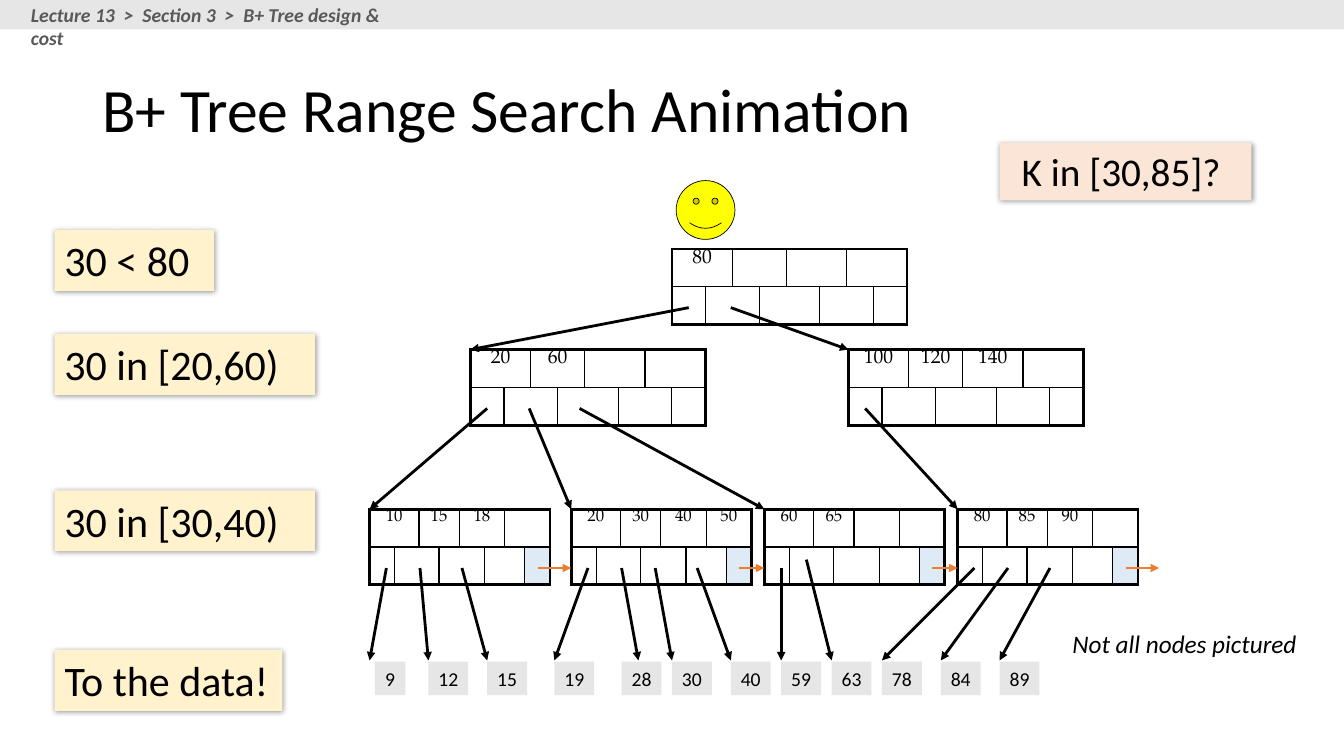
from pptx import Presentation
from pptx.dml.color import RGBColor
from pptx.enum.shapes import MSO_CONNECTOR, MSO_SHAPE
from pptx.enum.text import MSO_ANCHOR as Anchor, PP_ALIGN as Align
from pptx.oxml import parse_xml
from pptx.oxml.ns import nsdecls
from pptx.util import Pt

PX = 9525  # EMU in one px
WIDTH, HEIGHT = 1280, 720

BLACK = RGBColor(0x00, 0x00, 0x00)
GREY = RGBColor(0xE7, 0xE6, 0xE6)
DARK_GREY = RGBColor(0x59, 0x59, 0x59)
YELLOW = RGBColor(0xFF, 0xFF, 0x00)
CREAM = RGBColor(0xFF, 0xF2, 0xCC)
PEACH = RGBColor(0xFB, 0xE5, 0xD6)
PALE_BLUE = RGBColor(0xDE, 0xEB, 0xF7)
ORANGE = RGBColor(0xED, 0x7D, 0x31)

BODY_FONT, KEY_FONT = "Calibri", "TeX Gyre Pagella"
THICK, THIN = Pt(2.25), Pt(1)

# Tree geometry
NODE_WIDTH, LEAF_WIDTH, ROW_HEIGHT = 224, 168, 36
COLUMN_UNITS = (5, 4, 4, 4, 5, 4, 4, 5)
KEY_SPANS = ((0, 1), (2, 3), (4, 5), (6, 7))
POINTER_SPANS = ((0, 0), (1, 2), (3, 4), (5, 6), (7, 7))
POINTER_DROP = 56  # from the top of a node to its pointers
LEAF_TOP, DATA_TOP = 485, 630

# left, top, keys, (pointer offset, child left, child top)
INNER_NODES = (
    (640, 237, ("80",), ((16, 448, 333), (56, 808, 333))),
    (448, 333, ("20", "60"),
     ((16, 352, LEAF_TOP), (56, 544, LEAF_TOP), (104, 728, LEAF_TOP))),
    (808, 333, ("100", "120", "140"), ((16, 912, LEAF_TOP),)),
)
# left, keys, (pointer offset, pointer drop, arrow end), end of the next-leaf arrow
LEAVES = (
    (352, ("10", "15", "18"), ((16, 56, 352), (48, 56, 408), (88, 56, 464)), 544),
    (544, ("20", "30", "40", "50"),
     ((16, 56, 528), (48, 56, 608), (80, 56, 640), (120, 56, 696)), 728),
    (728, ("60", "65"), ((16, 56, 744), (40, 48, 792)), 912),
    (912, ("80", "85", "90"), ((16, 56, 840), (48, 56, 896), (88, 56, 952)), 1104),
)
# left, width, value
DATA_ITEMS = ((357, 29, "9"),) + tuple((left, 38, value) for left, value in (
    (408, "12"), (464, "15"), (528, "19"), (592, "28"), (640, "30"), (696, "40"),
    (744, "59"), (792, "63"), (840, "78"), (896, "84"), (952, "89")))
# left, top, width, height, text, size, fill, alignment
CALLOUTS = (
    (952, 136, 240, 55, "K in [30,85]? ", 28, PEACH, Align.CENTER),
    (52, 219, 152, 58, "30 < 80", 30, CREAM, Align.LEFT),
    (52, 318, 248, 58, "30 in [20,60)", 30, CREAM, Align.LEFT),
    (52, 467, 248, 58, "30 in [30,40)", 30, CREAM, Align.LEFT),
    (52, 619, 217, 58, "To the data!", 30, CREAM, Align.LEFT),
)


def to_emu(*lengths):
    return [length * PX for length in lengths]


def write(text_frame, text, size, font=BODY_FONT, color=BLACK, align=Align.LEFT,
          anchor=Anchor.TOP, wrap=True, bold=False, italic=False):
    text_frame.text = text
    text_frame.word_wrap = wrap
    text_frame.vertical_anchor = anchor
    paragraph = text_frame.paragraphs[0]
    paragraph.alignment = align
    for run in paragraph.runs:
        run.font.name, run.font.size = font, Pt(size)
        run.font.bold, run.font.italic = bold, italic
        run.font.color.rgb = color
    return paragraph


def add_label(slide, box, text, size, **style):
    label = slide.shapes.add_textbox(*to_emu(*box))
    return write(label.text_frame, text, size, **style)


def add_block(slide, box, fill, kind=MSO_SHAPE.RECTANGLE):
    shape = slide.shapes.add_shape(kind, *to_emu(*box))
    shape.shadow.inherit = False
    shape.fill.solid()
    shape.fill.fore_color.rgb = fill
    shape.line.fill.background()
    return shape


def add_arrow(slide, start, end, color=BLACK):
    arrow = slide.shapes.add_connector(MSO_CONNECTOR.STRAIGHT, *to_emu(*start, *end))
    arrow.line.color.rgb = color
    arrow.line.width = Pt(2)
    arrow.line._get_or_add_ln().append(
        parse_xml(f'<a:tailEnd {nsdecls("a")} type="triangle"/>'))
    arrow._element.spPr.append(parse_xml(f'<a:effectLst {nsdecls("a")}/>'))


def set_borders(cell, left, right, top, bottom):
    properties = cell._tc.get_or_add_tcPr()
    for index, (side, width) in enumerate(
            (("L", left), ("R", right), ("T", top), ("B", bottom))):
        properties.insert(index, parse_xml(
            f'<a:ln{side} {nsdecls("a")} w="{int(width)}"><a:solidFill>'
            f'<a:srgbClr val="{BLACK}"/></a:solidFill></a:ln{side}>'))


def add_node(slide, left, top, width, keys, key_size, next_fill=None):
    """Draw a tree node: keys in the upper row, pointers in the lower one."""
    frame = slide.shapes.add_table(
        2, len(COLUMN_UNITS), *to_emu(left, top, width, 2 * ROW_HEIGHT))
    table = frame.table
    table.first_row = table.horz_banding = False
    for column, units in zip(table.columns, COLUMN_UNITS):
        column.width = width * PX * units // sum(COLUMN_UNITS)
    for row in table.rows:
        row.height = ROW_HEIGHT * PX
    for cell in table.iter_cells():
        cell.margin_top = cell.margin_bottom = 0
        cell.fill.background()
    last = len(COLUMN_UNITS) - 1
    for row, spans in enumerate((KEY_SPANS, POINTER_SPANS)):
        for first, final in spans:
            cell = table.cell(row, first)
            if final > first:
                cell.merge(table.cell(row, final))
            set_borders(cell, THICK if first == 0 else THIN,
                        THICK if final == last else THIN,
                        THICK if row == 0 else THIN, THICK if row == 1 else THIN)
    for key, (first, _) in zip(keys, KEY_SPANS):
        paragraph = write(table.cell(0, first).text_frame, key, key_size,
                          font=KEY_FONT, align=Align.CENTER)
        paragraph.space_before = Pt(key_size * 0.2)
    if next_fill is not None:
        next_cell = table.cell(1, last)
        next_cell.fill.solid()
        next_cell.fill.fore_color.rgb = next_fill


def add_tree(slide):
    # Nodes
    for left, top, keys, _ in INNER_NODES:
        add_node(slide, left, top, NODE_WIDTH, keys, 14)
    for left, keys, _, _ in LEAVES:
        add_node(slide, left, LEAF_TOP, LEAF_WIDTH, keys, 12, PALE_BLUE)
    # Pointers between nodes
    for left, top, _, pointers in INNER_NODES:
        for offset, child_left, child_top in pointers:
            add_arrow(slide, (left + offset, top + POINTER_DROP), (child_left, child_top))
    # Data items
    for left, width, value in DATA_ITEMS:
        item = add_block(slide, (left, DATA_TOP, width, 32), GREY)
        write(item.text_frame, value, 14, align=Align.CENTER,
              anchor=Anchor.MIDDLE, wrap=False)
    # Pointers from leaves to data and to the next leaf
    for left, _, pointers, next_end in LEAVES:
        for offset, drop, end in pointers:
            add_arrow(slide, (left + offset, LEAF_TOP + drop), (end, DATA_TOP - 1))
        link_top = LEAF_TOP + POINTER_DROP
        add_arrow(slide, (left + 160, link_top), (next_end, link_top), ORANGE)


def add_callout(slide, box, text, size, fill, align):
    callout = add_block(slide, box, fill)
    write(callout.text_frame, text, size, align=align)
    callout._element.spPr.find("{*}effectLst").append(parse_xml(
        f'<a:outerShdw {nsdecls("a")} blurRad="{Pt(4)}" dist="{Pt(1)}" dir="2700000" '
        f'algn="tl" rotWithShape="0"><a:srgbClr val="{BLACK}">'
        '<a:alpha val="40000"/></a:srgbClr></a:outerShdw>'))


def add_smiley(slide, box):
    smiley = add_block(slide, box, YELLOW, MSO_SHAPE.SMILEY_FACE)
    smiley.line.color.rgb = BLACK
    smiley.line.width = Pt(0.5)


def add_header(slide, box):
    left, top, width, height = box
    add_block(slide, box, GREY)
    add_label(slide, (left + 20, top - 2, 381, height + 4),
              "Lecture 13  >  Section 3  >  B+ Tree design & cost", 14,
              color=DARK_GREY, bold=True, italic=True)


def main():
    presentation = Presentation()
    presentation.slide_width, presentation.slide_height = to_emu(WIDTH, HEIGHT)
    slide = presentation.slides.add_slide(presentation.slide_layouts[6])
    title = add_label(slide, (88, 38, 1104, 139), "B+ Tree Range Search Animation", 44,
                      anchor=Anchor.MIDDLE)
    title.line_spacing = 0.9
    add_tree(slide)
    for *box, text, size, fill, align in CALLOUTS:
        add_callout(slide, box, text, size, fill, align)
    add_label(slide, (1012, 594, 235, 38), "Not all nodes pictured", 18,
              italic=True, wrap=False)
    add_smiley(slide, (644, 172, 56, 56))
    add_header(slide, (0, 0, WIDTH, 28))
    presentation.save("out.pptx")


if __name__ == "__main__":
    main()
